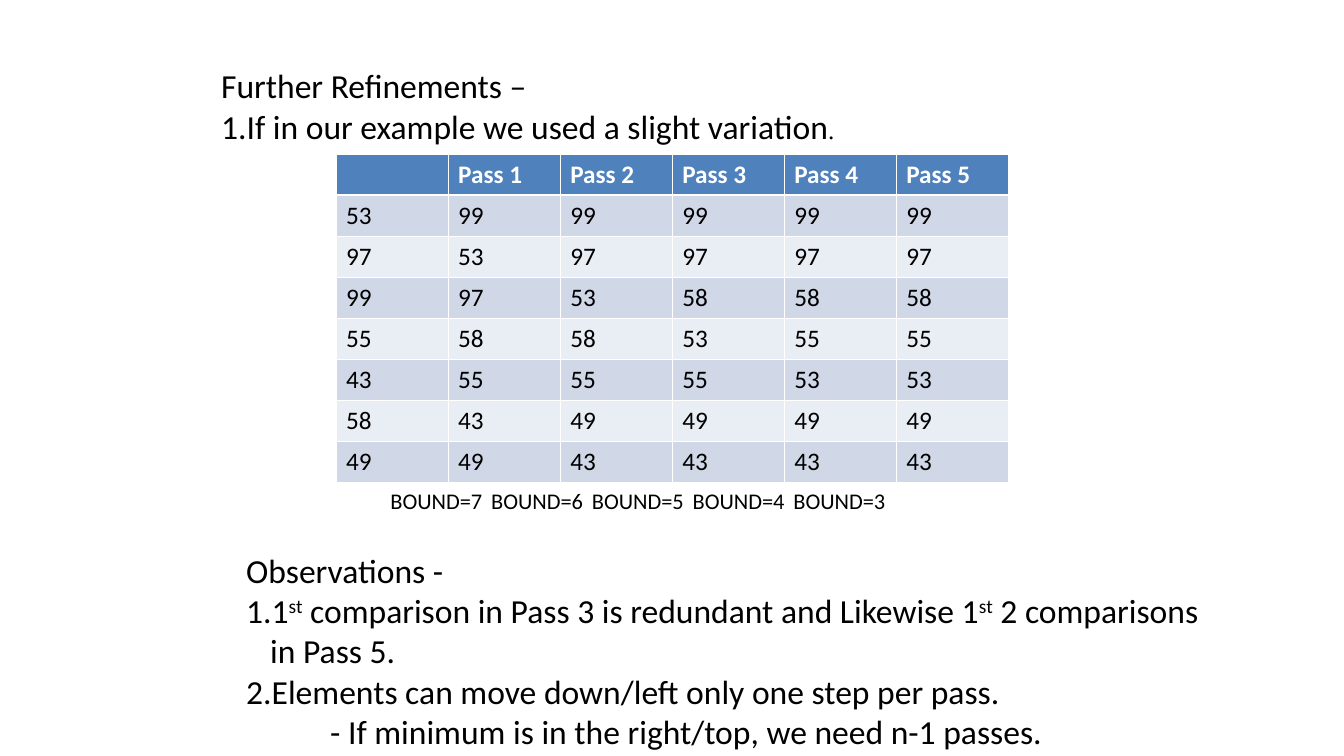
import dataclasses

import lxml.etree
import pptx
import pptx.dml.color
import pptx.enum.text
import pptx.oxml.ns
import pptx.util

PX = 9080  # EMU in one px


@dataclasses.dataclass(frozen=True)
class Theme:
    font: str = "Calibri"
    serif: str = "Times New Roman"
    ink: str = "000000"
    white: str = "FFFFFF"
    head: str = "4F81BD"
    bands: tuple = ("D0D8E8", "E9EDF4")
    large: int = 24
    mid: int = 18
    small: int = 16
    thin: float = 0.45
    thick: float = 1.47


THEME = Theme()
HANG = 24  # hanging indent of numbered items

PASSES = [
    ["", "Pass 1", "Pass 2", "Pass 3", "Pass 4", "Pass 5"],
    ["53", "99", "99", "99", "99", "99"],
    ["97", "53", "97", "97", "97", "97"],
    ["99", "97", "53", "58", "58", "58"],
    ["55", "58", "58", "53", "55", "55"],
    ["43", "55", "55", "55", "53", "53"],
    ["58", "43", "49", "49", "49", "49"],
    ["49", "49", "43", "43", "43", "43"],
]
BOUNDS = {"BOUND=7": 75, "BOUND=6": 192, "BOUND=5": 304,
          "BOUND=4": 411, "BOUND=3": 528}


def rgb(code):
    return pptx.dml.color.RGBColor.from_string(code)


def child(node, tag, **attrs):
    made = lxml.etree.SubElement(node, pptx.oxml.ns.qn("a:" + tag))
    for key, value in attrs.items():
        made.set(key, str(value))
    return made


def write(para, text, size=THEME.large, color=THEME.ink, font=THEME.font,
          bold=False, raised=False):
    """Add one formatted run to a paragraph."""
    run = para.add_run()
    run.text = text
    run.font.name = font
    run.font.size = pptx.util.Pt(size)
    run.font.color.rgb = rgb(color)
    run.font.bold = bold
    if raised:
        run.font._element.set("baseline", "30000")


def layout(para, left=0, hang=0, number=False, stops=()):
    """Set indent, numbering and tab stops."""
    para.alignment = pptx.enum.text.PP_ALIGN.LEFT
    para.space_before = pptx.util.Pt(0)
    props = para._p.get_or_add_pPr()
    props.set("marL", str(left * PX))
    props.set("indent", str(-hang * PX))
    if number:
        child(props, "buFont", typeface="+mj-lt")
        child(props, "buAutoNum", type="arabicPeriod")
    else:
        child(props, "buNone")
    if stops:
        tabs = child(props, "tabLst")
        for stop in stops:
            child(tabs, "tab", pos=stop * PX, algn="l")


def place(shape, left, top, width, height):
    """Move a text shape and let its text start at the top."""
    shape.left, shape.top = left * PX, top * PX
    shape.width, shape.height = width * PX, height * PX
    frame = shape.text_frame
    frame.word_wrap = True
    frame.auto_size = pptx.enum.text.MSO_AUTO_SIZE.NONE
    frame.vertical_anchor = pptx.enum.text.MSO_ANCHOR.TOP
    return frame


def fill(frame, paras):
    """Write (runs, layout) pairs, one paragraph each."""
    for index, (runs, form) in enumerate(paras):
        para = frame.add_paragraph() if index else frame.paragraphs[0]
        layout(para, **form)
        for text, style in runs:
            write(para, text, **style)


def edge(cell, side, width):
    line = child(cell._tc.get_or_add_tcPr(), side, w=pptx.util.Pt(width))
    child(child(line, "solidFill"), "srgbClr", val=THEME.white)


def grid(slide, rows, left, top, wide, high):
    """Draw the table of passes with banded rows."""
    count = len(rows[0])
    table = slide.shapes.add_table(
        len(rows), count, left * PX, top * PX,
        count * wide * PX, len(rows) * high * PX).table
    for col in table.columns:
        col.width = wide * PX
    for r, row in enumerate(rows):
        table.rows[r].height = high * PX
        for c, text in enumerate(row):
            cell = table.cell(r, c)
            edge(cell, "lnL", THEME.thin)
            edge(cell, "lnR", THEME.thin)
            edge(cell, "lnT", THEME.thick if r == 1 else THEME.thin)
            edge(cell, "lnB", THEME.thick if r == 0 else THEME.thin)
            cell.fill.solid()
            cell.fill.fore_color.rgb = rgb(
                THEME.bands[(r - 1) % 2] if r else THEME.head)
            if text:
                write(cell.text_frame.paragraphs[0], text, size=THEME.mid,
                      color=THEME.ink if r else THEME.white, bold=r == 0)


def main():
    deck = pptx.Presentation()
    deck.slide_width = pptx.util.Inches(13.34)
    deck.slide_height = pptx.util.Inches(7.5)
    slide = deck.slides.add_slide(deck.slide_layouts[1])
    item = {"left": HANG, "hang": HANG, "number": True}

    # Heading
    fill(place(slide.shapes.title, 211, 60, 765, 121), [
        ([("Further Refinements –", {})], {}),
        ([("If in our example we used a slight variation", {}),
          (".", {"size": THEME.mid, "font": THEME.serif})], item),
    ])

    # Table of passes
    grid(slide, PASSES, 336, 154, 112, 41)

    # Bounds below the table
    box = slide.shapes.add_textbox(0, 0, PX, PX)
    labels = "".join("\t" + name for name in BOUNDS)
    fill(place(box, 330, 482, 714, 40), [
        ([(labels, {"size": THEME.small})], {"stops": BOUNDS.values()}),
    ])

    # Observations
    up = ("st", {"raised": True})
    fill(place(slide.placeholders[1], 236, 544, 984, 211), [
        ([("Observations -", {})], {}),
        ([("1", {}), up,
          (" comparison in Pass 3 is redundant and Likewise 1", {}), up,
          (" 2 comparisons in Pass 5.", {})], item),
        ([("Elements can move down/left only one step per pass.", {})], item),
        ([("- If minimum is in the right/top, we need n-1 passes.", {})],
         {"left": 84}),
    ])

    deck.save("out.pptx")


if __name__ == "__main__":
    main()
